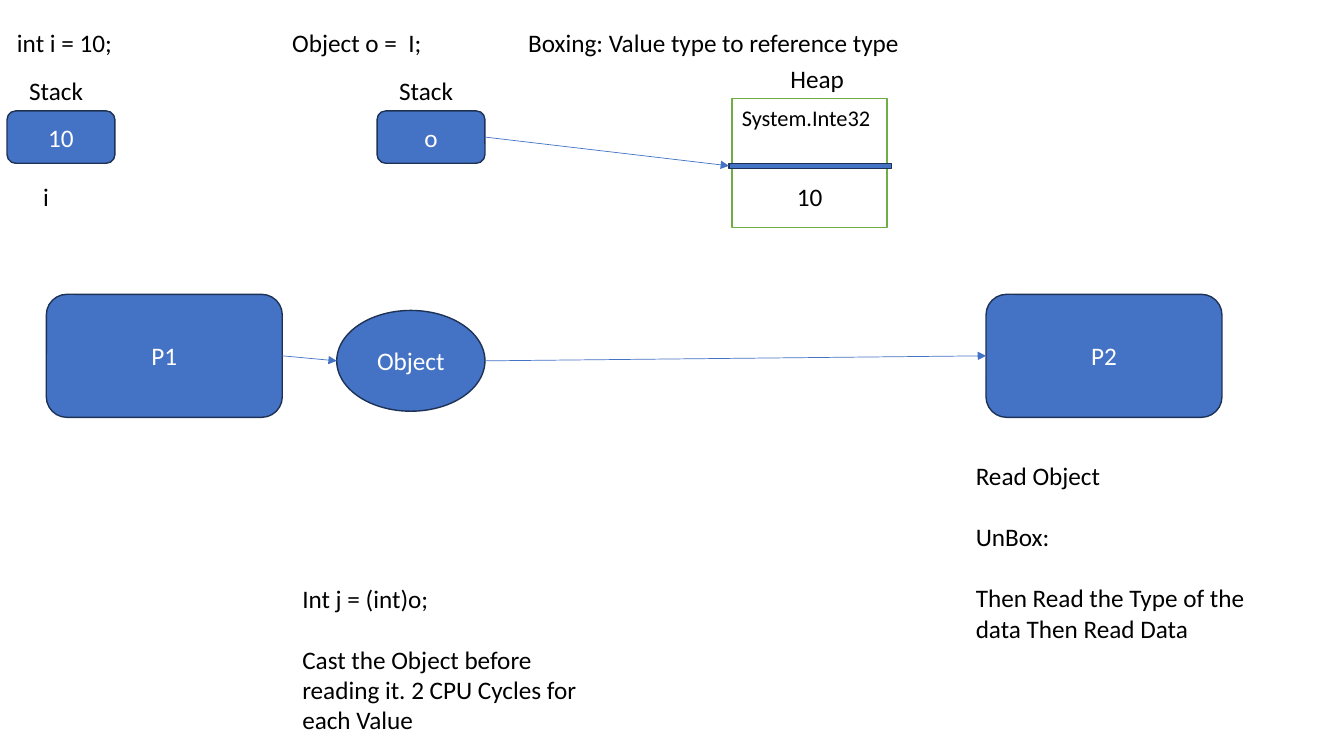
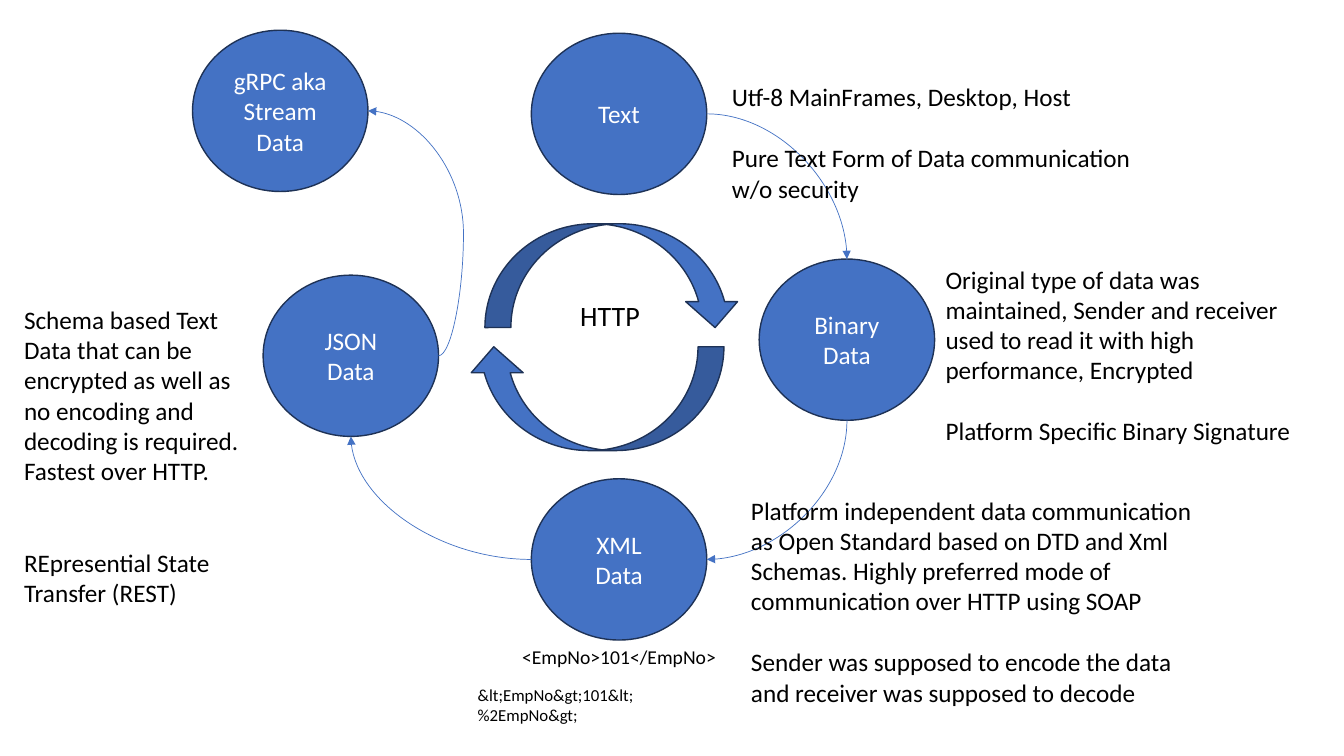
"""Build two slides on boxing and on data formats over HTTP."""
from dataclasses import dataclass
from enum import IntEnum

from lxml.etree import SubElement
from pptx import Presentation
from pptx.dml.color import RGBColor
from pptx.enum.shapes import MSO_CONNECTOR, MSO_SHAPE
from pptx.enum.text import MSO_ANCHOR, MSO_AUTO_SIZE, PP_ALIGN
from pptx.oxml.ns import qn
from pptx.shapes.autoshape import Shape
from pptx.shapes.connector import Connector
from pptx.slide import Slide
from pptx.text.text import TextFrame
from pptx.util import Inches, Pt

FONT = "Calibri"
BLUE, NAVY, GREEN = "4472C4", "1E3256", "70AD47"
WHITE, BLACK = "FFFFFF", "000000"
LEADING = 1.22
DISC_W, DISC_H = 1.74, 1.6
ROUND, OVAL, RECT = MSO_SHAPE.ROUNDED_RECTANGLE, MSO_SHAPE.OVAL, MSO_SHAPE.RECTANGLE
ARC = MSO_SHAPE.CURVED_DOWN_ARROW


class Side(IntEnum):
    TOP = 0
    LEFT = 1
    BOTTOM = 2
    RIGHT = 3


@dataclass(frozen=True)
class Note:
    x: float
    y: float
    w: float
    h: float
    lines: tuple[str, ...]
    size: int = 18
    mid: bool = False
    gap: int = 1


@dataclass(frozen=True)
class Node:
    kind: MSO_SHAPE
    x: float
    y: float
    w: float
    h: float
    lines: tuple[str, ...] = ()
    fill: str = BLUE
    edge: str = NAVY
    turn: int = 0


@dataclass(frozen=True)
class Link:
    start: str
    out: Side
    end: str
    into: Side
    bend: str = ""
    turn: int = 0
    shift: int = 0


def tint(code: str) -> RGBColor:
    return RGBColor.from_string(code)


def write(frame: TextFrame, lines: tuple[str, ...], size: int, hue: str,
          mid: bool, gap: int) -> None:
    frame.word_wrap = True
    for i, line in enumerate(lines):
        para = frame.add_paragraph() if i else frame.paragraphs[0]
        para.alignment = PP_ALIGN.CENTER if mid else PP_ALIGN.LEFT
        if i and gap:
            para.space_before = Pt(round(size * LEADING * gap))
        run = para.add_run()
        run.text = line
        run.font.name = FONT
        run.font.size = Pt(size)
        run.font.color.rgb = tint(hue)


def draw_note(slide: Slide, note: Note) -> None:
    box = slide.shapes.add_textbox(Inches(note.x), Inches(note.y),
                                   Inches(note.w), Inches(note.h))
    write(box.text_frame, note.lines, note.size, BLACK, note.mid, note.gap)
    box.text_frame.auto_size = MSO_AUTO_SIZE.SHAPE_TO_FIT_TEXT


def draw_node(slide: Slide, node: Node) -> Shape:
    shape = slide.shapes.add_shape(node.kind, Inches(node.x), Inches(node.y),
                                   Inches(node.w), Inches(node.h))
    shape.shadow.inherit = False
    shape.rotation = node.turn
    shape.fill.solid()
    shape.fill.fore_color.rgb = tint(node.fill)
    shape.line.color.rgb = tint(node.edge)
    shape.line.width = Pt(1)
    shape.text_frame.vertical_anchor = MSO_ANCHOR.MIDDLE
    write(shape.text_frame, node.lines, 18, WHITE, True, 0)
    return shape


def site(shape: Shape, side: Side) -> int:
    return side * 2 if shape.auto_shape_type == OVAL else int(side)


def bend_line(line: Connector, link: Link) -> None:
    props = line._element.spPr
    geom = props.find(qn("a:prstGeom"))
    geom.set("prst", link.bend)
    if link.shift:
        guides = geom.find(qn("a:avLst"))
        if guides is None:
            guides = SubElement(geom, qn("a:avLst"))
        SubElement(guides, qn("a:gd"), name="adj1", fmla=f"val {link.shift}")
    if link.turn:
        frame = props.xfrm
        frame.flipH = frame.flipV = False
        frame.rot = link.turn
    if link.turn == 90:
        wide, high = line.width, line.height
        line.left += (wide - high) // 2
        line.top += (high - wide) // 2
        line.width, line.height = high, wide


def draw_link(slide: Slide, link: Link, shapes: dict[str, Shape]) -> None:
    kind = MSO_CONNECTOR.CURVE if link.bend else MSO_CONNECTOR.STRAIGHT
    line = slide.shapes.add_connector(kind, Inches(0), Inches(0), Inches(0), Inches(0))
    start, end = shapes[link.start], shapes[link.end]
    line.begin_connect(start, link.out)
    line.end_connect(end, link.into)
    joins = line._element.nvCxnSpPr.cNvCxnSpPr
    joins.find(qn("a:stCxn")).set("idx", str(site(start, link.out)))
    joins.find(qn("a:endCxn")).set("idx", str(site(end, link.into)))
    if link.bend:
        bend_line(line, link)
    line.line.color.rgb = tint(BLUE)
    line.line.width = Pt(0.5)
    SubElement(line.line._get_or_add_ln(), qn("a:tailEnd"), type="triangle")
    SubElement(line._element.spPr, qn("a:effectLst"))


def draw_slide(deck: Presentation, nodes: dict[str, Node], links: list[Link],
               notes: list[Note]) -> None:
    slide = deck.slides.add_slide(deck.slide_layouts[6])
    shapes = {name: draw_node(slide, node) for name, node in nodes.items()}
    for link in links:
        draw_link(slide, link, shapes)
    for note in notes:
        draw_note(slide, note)


def cell(x: float, text: str) -> Node:
    return Node(ROUND, x, 1.1, 1.07, 0.52, (text,))


def block(x: float, text: str) -> Node:
    return Node(ROUND, x, 2.92, 2.34, 1.22, (text,))


def disc(x: float, y: float, *lines: str) -> Node:
    return Node(OVAL, x, y, DISC_W, DISC_H, lines)


BOX_NODES = {
    "value": cell(0.07, "10"),
    "ref": cell(3.74, "o"),
    "heap": Node(RECT, 7.26, 0.98, 1.54, 1.28, fill=WHITE, edge=GREEN),
    "bar": Node(RECT, 7.23, 1.62, 1.61, 0.05),
    "p1": block(0.46, "P1"),
    "p2": block(9.78, "P2"),
    "object": Node(OVAL, 3.34, 3.08, 1.47, 1, ("Object",)),
}
BOX_LINKS = [Link(start, Side.RIGHT, end, Side.LEFT) for start, end in
             (("ref", "bar"), ("p1", "object"), ("object", "p2"))]
BOX_NOTES = [
    Note(0.07, 0.22, 1.39, 0.4, ("int i = 10;",)),
    Note(2.8, 0.22, 2.74, 0.4, ("Object o =  I;",)),
    Note(5.14, 0.22, 4.99, 0.4, ("Boxing: Value type to reference type",)),
    Note(0.19, 0.7, 0.95, 0.4, ("Stack",)),
    Note(3.86, 0.7, 0.95, 0.4, ("Stack",)),
    Note(7.74, 0.58, 0.95, 0.4, ("Heap",)),
    Note(0.33, 1.75, 0.64, 0.4, ("i",)),
    Note(7.26, 0.98, 1.54, 0.37, ("System.Inte32",), 16),
    Note(7.26, 1.75, 1.54, 0.4, ("10",), mid=True),
    Note(9.58, 4.52, 3.04, 1.92, (
        "Read Object", "UnBox:", "Then Read the Type of the data Then Read Data")),
    Note(2.9, 5.74, 2.74, 0.4, ("Int j = (int)o;",)),
    Note(2.9, 6.34, 2.97, 1.01, (
        "Cast the Object before reading it. 2 CPU Cycles for each Value",)),
]

WEB_NODES = {
    "text": disc(5.27, 0.33, "Text"),
    "binary": disc(7.53, 2.57, "Binary", "Data"),
    "xml": disc(5.27, 4.75, "XML", "Data"),
    "json": disc(2.61, 2.73, "JSON", "Data"),
    "grpc": disc(1.91, 0.3, "gRPC aka Stream", "Data"),
    "over": Node(ARC, 4.81, 2.22, 2.54, 1.03),
    "under": Node(ARC, 4.64, 3.44, 2.54, 1.03, turn=180),
}
WEB_LINKS = [
    Link("text", Side.RIGHT, "binary", Side.TOP, "curvedConnector2"),
    Link("binary", Side.BOTTOM, "xml", Side.RIGHT, "curvedConnector2", 90),
    Link("xml", Side.LEFT, "json", Side.BOTTOM, "curvedConnector2", 180),
    Link("json", Side.RIGHT, "grpc", Side.RIGHT, "curvedConnector3", shift=-35400),
]
WEB_NOTES = [
    Note(7.16, 0.76, 4.22, 1.31, (
        "Utf-8 MainFrames, Desktop, Host",
        "Pure Text Form of Data communication w/o security")),
    Note(9.28, 2.57, 3.67, 1.92, (
        "Original type of data was maintained, Sender and receiver used to read "
        "it with high performance, Encrypted",
        "Platform Specific Binary Signature")),
    Note(7.35, 4.86, 4.58, 2.52, (
        "Platform independent data communication as Open Standard based on DTD "
        "and Xml Schemas. Highly preferred mode of communication over HTTP using SOAP",
        "Sender was supposed to encode the data and receiver was supposed to decode")),
    Note(5.08, 6.35, 2.27, 0.34, ("<EmpNo>101</EmpNo>",), 14),
    Note(4.64, 6.74, 2.7, 0.5, ("&lt;EmpNo&gt;101&lt;%2EmpNo&gt;",), 12),
    Note(0.14, 2.97, 2.33, 3.43, (
        "Schema based Text Data that can be encrypted as well as no encoding and "
        "decoding is required. Fastest over HTTP.",
        "REpresential State Transfer (REST)"), gap=2),
    Note(5.32, 2.91, 1.46, 0.44, ("HTTP",), 20, True),
]


def main() -> None:
    deck = Presentation()
    deck.slide_width, deck.slide_height = Inches(13.33), Inches(7.5)
    draw_slide(deck, BOX_NODES, BOX_LINKS, BOX_NOTES)
    draw_slide(deck, WEB_NODES, WEB_LINKS, WEB_NOTES)
    deck.save("out.pptx")


if __name__ == "__main__":
    main()
